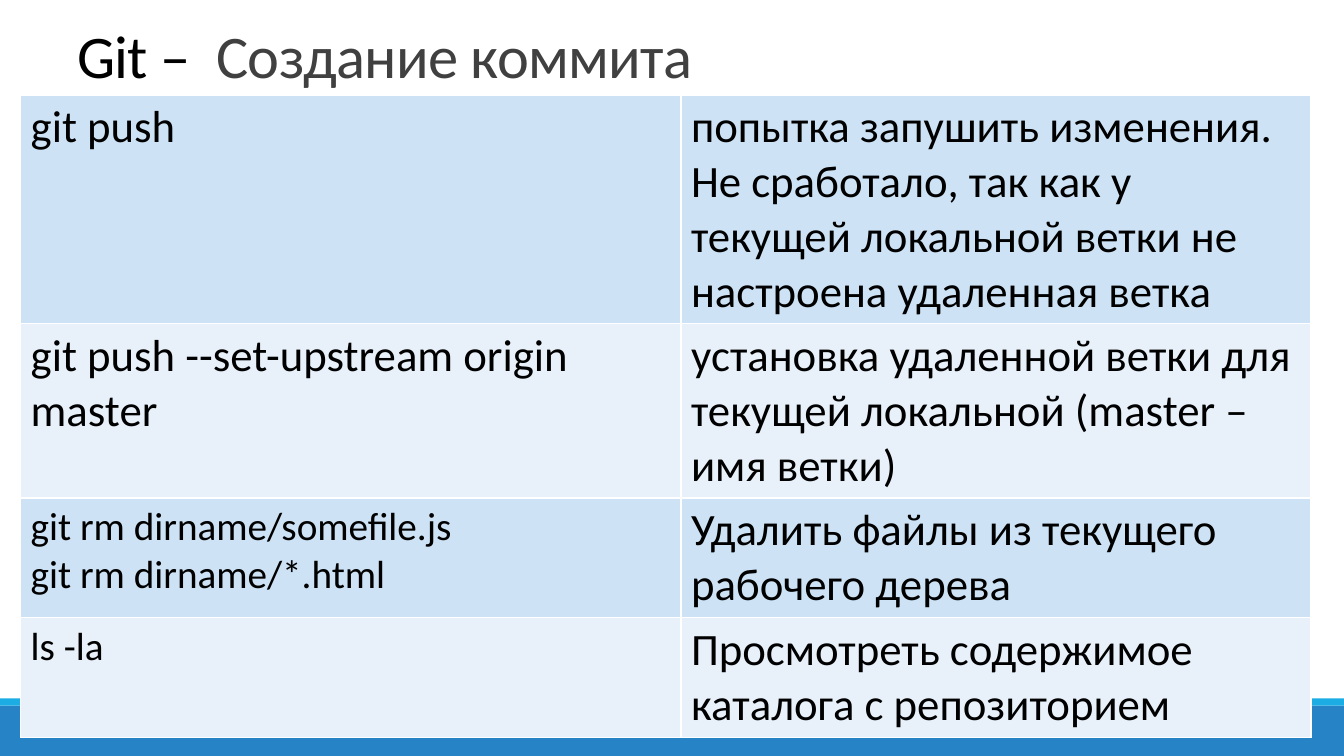
from pptx import Presentation
from pptx.dml.color import RGBColor
from pptx.enum.shapes import MSO_SHAPE as Shape
from pptx.enum.text import MSO_ANCHOR as Anchor
from pptx.oxml import parse_xml
from pptx.oxml.ns import nsdecls
from pptx.util import Cm, Pt

# Content
FONT = "Calibri"
BLACK = RGBColor(0x00, 0x00, 0x00)
GREY = RGBColor(0x40, 0x40, 0x40)
BLUE = RGBColor(0x26, 0x83, 0xC6)
CYAN = RGBColor(0x1C, 0xAD, 0xE4)
BANDS = (RGBColor(0xCD, 0xE3, 0xF5), RGBColor(0xE8, 0xF1, 0xFA))

TITLE = [("Git –  ", BLACK), ("Создание коммита", GREY)]

# Each row: height in cm, command size, command lines, meaning lines
ROWS = [
    (5.76, 32, ["git push"],
     ["попытка запушить изменения. Не сработало, так как у",
      "текущей локальной ветки не настроена удаленная ветка"]),
    (4.39, 32, ["git push --set-upstream origin master"],
     ["установка удаленной ветки для",
      "текущей локальной (master – имя ветки)"]),
    (3.02, 28, ["git rm dirname/somefile.js", "git rm dirname/*.html"],
     ["Удалить файлы из текущего рабочего дерева"]),
    (3.02, 28, ["ls -la"],
     ["Просмотреть содержимое каталога с репозиторием"]),
]
COLS = (16.64, 15.88)
WIDTH, HEIGHT = 33.87, 19.05
BARS = [(17.78, 1.27, BLUE), (17.6, 0.18, CYAN)]


def add_run(para, text, size, color):
    run = para.add_run()
    run.text = text
    run.font.name = FONT
    run.font.size = Pt(size)
    run.font.color.rgb = color
    return run


def fill_cell(cell, lines, size, band):
    cell.fill.solid()
    cell.fill.fore_color.rgb = band
    frame = cell.text_frame
    for i, line in enumerate(lines):
        para = frame.add_paragraph() if i else frame.paragraphs[0]
        add_run(para, line, size, BLACK)
    # White borders come before the fill in the cell properties
    props = cell._tc.get_or_add_tcPr()
    for i, side in enumerate(("lnL", "lnR", "lnT", "lnB")):
        props.insert(i, parse_xml(
            f'<a:{side} {nsdecls("a")} w="12700"><a:solidFill>'
            f'<a:srgbClr val="FFFFFF"/></a:solidFill></a:{side}>'))


deck = Presentation()
deck.slide_width, deck.slide_height = Cm(WIDTH), Cm(HEIGHT)
slide = deck.slides.add_slide(deck.slide_layouts[6])

# Bottom bars
for top, tall, color in BARS:
    bar = slide.shapes.add_shape(Shape.RECTANGLE, 0, Cm(top), Cm(WIDTH), Cm(tall))
    bar.shadow.inherit = False
    bar.fill.solid()
    bar.fill.fore_color.rgb = color
    bar.line.fill.background()

# Title
box = slide.shapes.add_textbox(Cm(1.7), Cm(0.66), Cm(27.94), Cm(1.75))
frame = box.text_frame
frame.word_wrap = True
frame.vertical_anchor = Anchor.BOTTOM
para = frame.paragraphs[0]
para.line_spacing = 0.85
for text, color in TITLE:
    run = add_run(para, text, 43.2, color)
    run._r.get_or_add_rPr().set("spc", "-50")

# Table of commands
tall = sum(row[0] for row in ROWS)
table = slide.shapes.add_table(len(ROWS), len(COLS), Cm(0.52), Cm(2.4),
                               Cm(sum(COLS)), Cm(tall)).table
table.first_row = False
for col, wide in zip(table.columns, COLS):
    col.width = Cm(wide)
for i, (high, size, command, meaning) in enumerate(ROWS):
    table.rows[i].height = Cm(high)
    band = BANDS[i % 2]
    fill_cell(table.cell(i, 0), command, size, band)
    fill_cell(table.cell(i, 1), meaning, 32, band)

deck.save("out.pptx")
